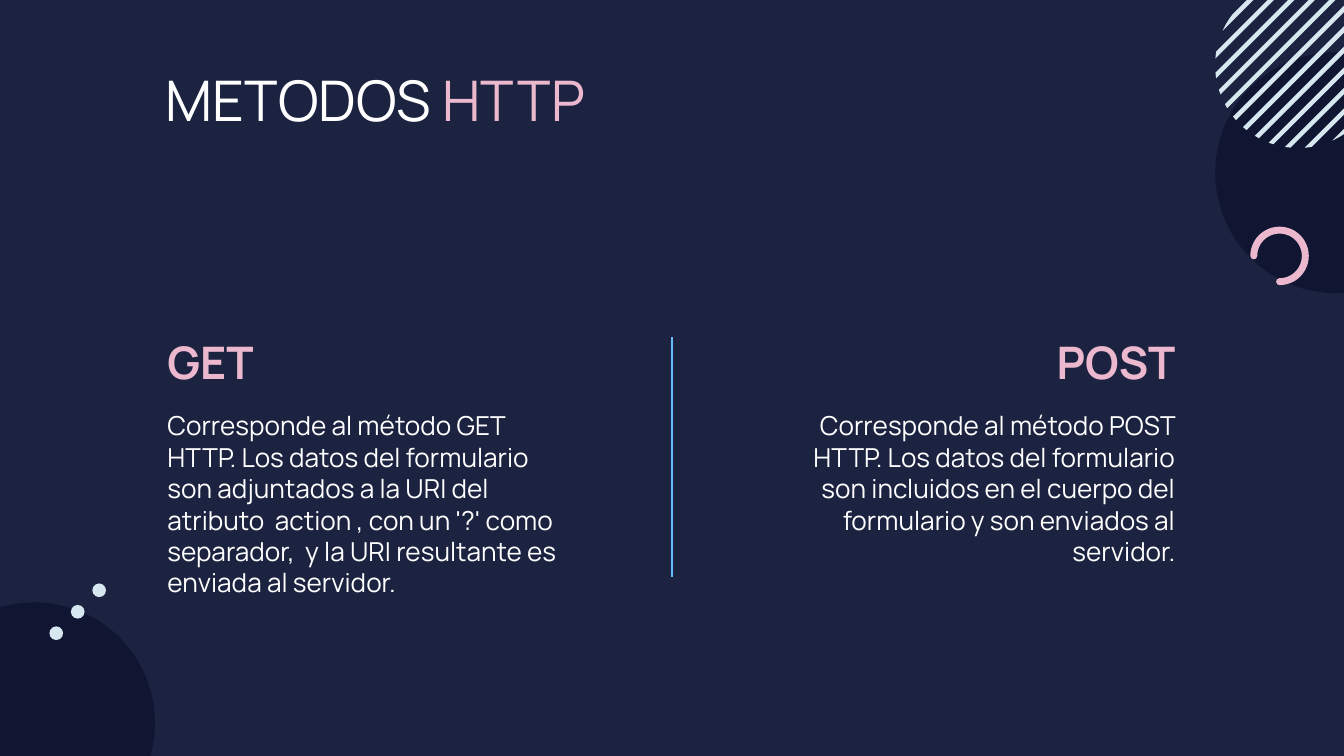
from dataclasses import dataclass
from math import acos, cos, pi, sin

from lxml.etree import SubElement
from pptx import Presentation
from pptx.dml.color import RGBColor
from pptx.enum.shapes import MSO_CONNECTOR as Link, MSO_SHAPE as Kind
from pptx.enum.text import MSO_ANCHOR as Anchor, MSO_AUTO_SIZE as Fit, PP_ALIGN as Align
from pptx.oxml.ns import qn
from pptx.util import Pt

NAVY = RGBColor(0x1C, 0x23, 0x40)
DARK = RGBColor(0x10, 0x16, 0x32)
PINK = RGBColor(0xEC, 0xB8, 0xCE)
PALE = RGBColor(0xD7, 0xE7, 0xEF)
BLUE = RGBColor(0x67, 0xBB, 0xFF)
WHITE = RGBColor(0xFF, 0xFF, 0xFF)
FONT = "Manrope"


@dataclass
class Method:
    name: str
    text: str
    left: float
    right: float
    align: Align


@dataclass
class Disc:
    x: float
    y: float
    size: float
    color: RGBColor


METHODS = [
    Method("GET", "Corresponde al método GET HTTP. Los datos del formulario son "
           "adjuntados a la URI del atributo  action , con un '?' como separador,  "
           "y la URI resultante es enviada al servidor.", 82.6, 305.8, Align.LEFT),
    Method("POST", "Corresponde al método POST HTTP. Los datos del formulario son "
           "incluidos en el cuerpo del formulario y son enviados al servidor.",
           413.6, 636.8, Align.RIGHT),
]
DISCS = [Disc(-46, 322.7, 129, DARK), Disc(651, 28, 129, DARK)]
DOTS = [Disc(49.5 - 11.5 * i, 312.6 + 11.5 * i, 7.3, PALE) for i in range(3)]


def style(run, size: float, color: RGBColor, bold: bool = False) -> None:
    run.font.name, run.font.size = FONT, Pt(size)
    run.font.bold = bold
    run.font.color.rgb = color


def frame(shape, anchor: Anchor):
    box = shape.text_frame
    box.word_wrap, box.auto_size = True, Fit.NONE
    box.vertical_anchor = anchor
    box.margin_left = box.margin_right = box.margin_top = box.margin_bottom = Pt(7.2)
    return box


def add_text(slide, text: str, left: float, top: float, width: float, height: float,
             align: Align, anchor: Anchor, size: float, color: RGBColor,
             bold: bool = False) -> None:
    box = frame(slide.shapes.add_textbox(Pt(left), Pt(top), Pt(width), Pt(height)), anchor)
    box.text = text
    para = box.paragraphs[0]
    para.alignment = align
    style(para.runs[0], size, color, bold)


def add_method(slide, item: Method) -> None:
    wide, head = item.right - item.left, 165.6
    start = item.left if item.align == Align.LEFT else item.right - head
    add_text(slide, item.name, start, 170, head, 45.3, item.align,
             Anchor.BOTTOM, 24, PINK, True)
    add_text(slide, item.text, item.left, 212.4, wide, 100, item.align,
             Anchor.TOP, 14, WHITE)


def paint(shape, color: RGBColor) -> None:
    shape.shadow.inherit = False
    shape.fill.solid()
    shape.fill.fore_color.rgb = color
    shape.line.fill.background()


def add_disc(slide, disc: Disc) -> None:
    size = Pt(disc.size)
    paint(slide.shapes.add_shape(Kind.OVAL, Pt(disc.x), Pt(disc.y), size, size), disc.color)


def add_stripes(slide, x: float, y: float, radius: float, count: int,
                pitch: float, width: float) -> None:
    """Diagonal bands cut off by a circle centred on x, y."""
    steps = 8
    for i in range(count):
        mid = (i - (count - 1) / 2) * pitch
        near, far = (acos((mid + side * width / 2) / radius) for side in (-1, 1))
        arc = [near + (far - near) * k / steps for k in range(steps + 1)]
        turns = arc + [-a for a in reversed(arc)]
        points = [(Pt(x + radius * cos(pi / 4 + a)), Pt(y + radius * sin(pi / 4 + a)))
                  for a in turns]
        path = slide.shapes.build_freeform(*points[0])
        path.add_line_segments(points[1:], close=True)
        paint(path.convert_to_shape(), PALE)


def add_ring(slide, x: float, y: float, size: float) -> None:
    ring = slide.shapes.add_shape(Kind.ARC, Pt(x), Pt(y), Pt(size), Pt(size))
    ring.shadow.inherit = False
    ring.adjustments[0] = 180 * 0.6  # from the left side
    ring.adjustments[1] = 90 * 0.6   # clockwise to the bottom
    ring.fill.background()
    ring.line.color.rgb, ring.line.width = PINK, Pt(3.7)
    ring.line._get_or_add_ln().set("cap", "rnd")


def main() -> None:
    deck = Presentation()
    deck.slide_width, deck.slide_height = Pt(720), Pt(405)
    slide = deck.slides.add_slide(deck.slide_layouts[5])
    slide.background.fill.solid()
    slide.background.fill.fore_color.rgb = NAVY

    # Title
    title = slide.shapes.title
    title.left, title.top, title.width, title.height = Pt(81.7), Pt(28), Pt(350), Pt(62)
    para = frame(title, Anchor.TOP).paragraphs[0]
    para.alignment = Align.LEFT
    for text, color in (("METODOS ", WHITE), ("HTTP", PINK)):
        run = para.add_run()
        run.text = text
        style(run, 30, color)

    # Two columns and the rule between them
    for item in METHODS:
        add_method(slide, item)
    rule = slide.shapes.add_connector(Link.STRAIGHT, Pt(360), Pt(180.7), Pt(360), Pt(309))
    rule.line.color.rgb, rule.line.width = BLUE, Pt(1.5)
    SubElement(rule._element.spPr, qn("a:effectLst"))

    # Corner ornaments
    for disc in DISCS:
        add_disc(slide, disc)
    add_stripes(slide, 695.4, 34.9, 44.4, 12, 7.78, 2.4)
    add_ring(slide, 671.7, 123.3, 27.6)
    for dot in DOTS:
        add_disc(slide, dot)

    deck.save("out.pptx")


if __name__ == "__main__":
    main()
